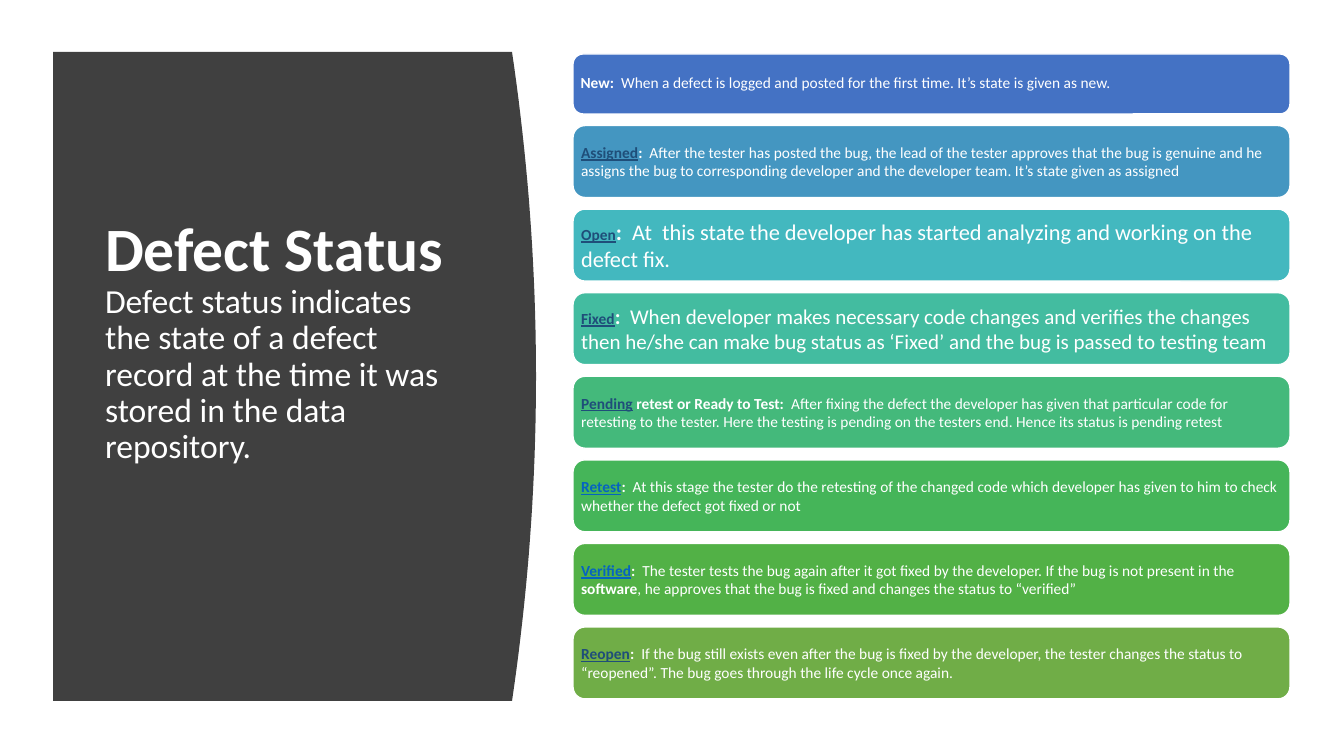
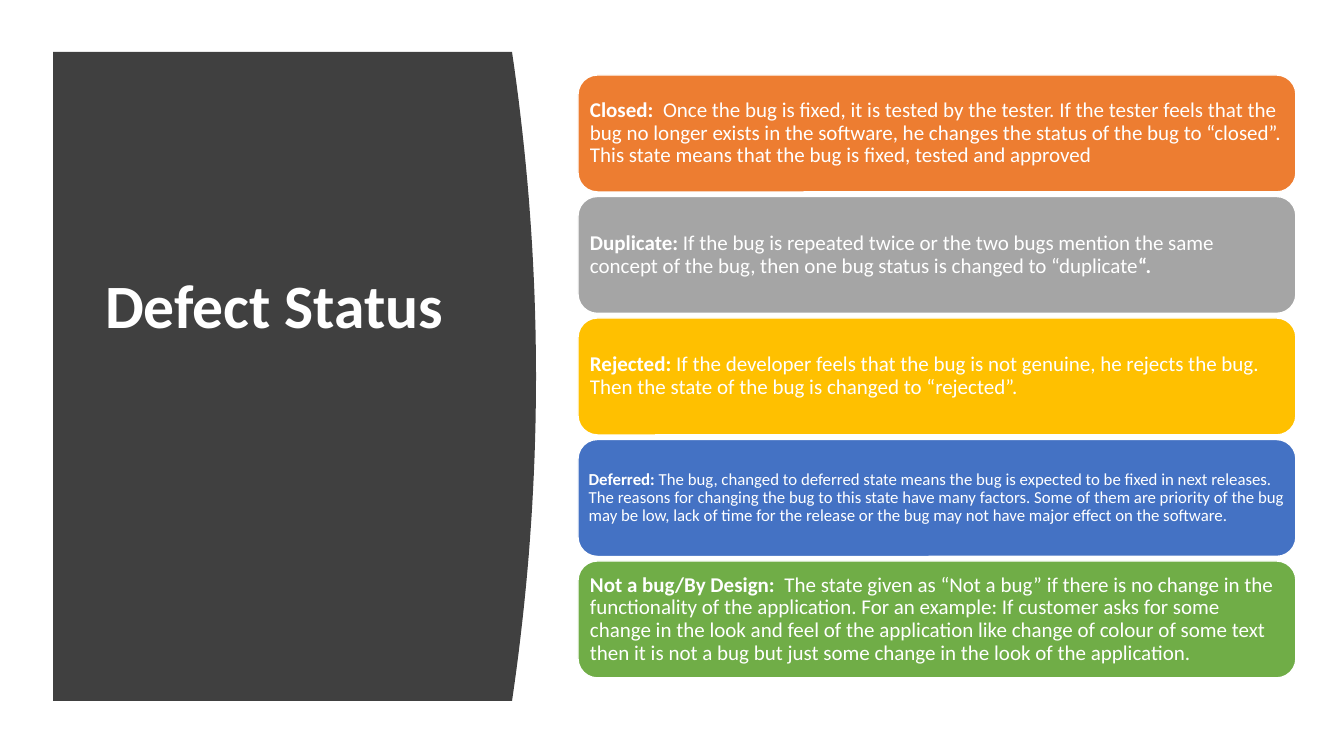
from collections import namedtuple

from pptx import Presentation
from pptx.dml.color import RGBColor
from pptx.enum.shapes import MSO_SHAPE
from pptx.enum.text import MSO_ANCHOR, MSO_AUTO_SIZE, PP_ALIGN
from pptx.util import Pt

SCALE = 914400 / 100.8
FACE = "Calibri"
WHITE, DARK, NAVY, LINK = "FFFFFF", "404040", "1F4E79", "0563C1"
LEAD = 0.9
PANEL = (53, 52, 483, 649)
TITLE = (95, 112, 377, 528)

Box = namedtuple("Box", "left top width height")
Row = namedtuple("Row", "fill tint label body small big")


def px(num):
    """Turn pixels into EMU."""
    return round(num * SCALE)


def hue(code):
    """Turn a hex string into a colour."""
    return RGBColor.from_string(code)


def style(item, **vals):
    """Set each named value on the item."""
    for name, val in vals.items():
        setattr(item, name, val)


def place(item, box):
    """Move and size an item to a pixel box."""
    style(item, **{name: px(val) for name, val in box._asdict().items()})


def write(para, text, size, tint=WHITE, **vals):
    """Add one formatted run to a paragraph."""
    run = para.add_run()
    run.text = text
    style(run.font, name=FACE, size=Pt(size), **vals)
    run.font.color.rgb = hue(tint)


def paint(shape, fill, line=None):
    """Give a shape a flat fill and an optional line."""
    shape.shadow.inherit = False
    shape.fill.solid()
    shape.fill.fore_color.rgb = hue(fill)
    if line:
        shape.line.color.rgb = hue(line)
        shape.line.width = Pt(1)
    else:
        shape.line.fill.background()


def panel(slide, box, bulge=24, steps=40):
    """Draw the dark panel with its bowed right edge behind the title."""
    side = box.left + box.width - bulge
    base = box.top + box.height
    curve = []
    for step in range(steps + 1):
        part = step / steps
        bow = bulge * 4 * part * (1 - part)
        curve.append((px(side + bow), px(box.top + box.height * part)))
    form = slide.shapes.build_freeform(px(box.left), px(box.top))
    form.add_line_segments(curve + [(px(box.left), px(base))], close=True)
    shape = form.convert_to_shape()
    paint(shape, DARK)
    slide.shapes.title.element.addprevious(shape.element)


def head(slide, box, note, lift):
    """Fill the title, lifted above the middle of its box."""
    title = slide.shapes.title
    place(title, box)
    frame = title.text_frame
    style(frame, word_wrap=True, auto_size=MSO_AUTO_SIZE.NONE,
          vertical_anchor=MSO_ANCHOR.MIDDLE, margin_bottom=px(lift))
    para = frame.paragraphs[0]
    style(para, alignment=PP_ALIGN.LEFT, line_spacing=LEAD)
    write(para, "Defect Status", 44, bold=True)
    if note:
        para.add_line_break()
        write(para, note, 24, bold=False)


def card(slide, box, row):
    """Draw one status card; stars in its body switch bold."""
    shape = slide.shapes.add_shape(MSO_SHAPE.ROUNDED_RECTANGLE,
                                   *map(px, box))
    paint(shape, row.fill, WHITE)
    frame = shape.text_frame
    pad = Pt(row.small * 0.3)
    style(frame, word_wrap=True, vertical_anchor=MSO_ANCHOR.MIDDLE,
          margin_left=pad, margin_right=pad, margin_top=pad,
          margin_bottom=pad)
    para = frame.paragraphs[0]
    linked = row.tint != WHITE
    style(para, alignment=PP_ALIGN.LEFT, line_spacing=1.0 if linked else LEAD)
    write(para, row.label, row.small, row.tint, bold=True, underline=linked)
    for spot, text in enumerate(row.body.split("*")):
        if text:
            write(para, text, row.big, bold=spot % 2 == 1)


def stack(slide, box, rows, highs):
    """Stack cards down the box with equal gaps."""
    gap = (box.height - sum(highs)) / (len(rows) - 1)
    top = box.top
    for row, high in zip(rows, highs):
        card(slide, Box(box.left, top, box.width, high), row)
        top += high + gap


def page(deck, note, lift, box, rows, highs):
    """Build one slide: panel, title and cards."""
    slide = deck.slides.add_slide(deck.slide_layouts[5])
    head(slide, Box(*TITLE), note, lift)
    panel(slide, Box(*PANEL))
    stack(slide, Box(*box), rows, highs)


NOTE = ("Defect status indicates the state of a defect record at the time "
        "it was stored in the data repository.")

FIRST = [
    Row("4472C4", WHITE, "New:",
        "\u00a0\u00a0When a defect is logged and posted for the first time. "
        "It’s state is given as new.", 11, 11),
    Row("4496C1", NAVY, "Assigned",
        "*:*\u00a0\u00a0After the tester has posted the bug, the lead of the "
        "tester approves that the bug is genuine and he assigns the bug to "
        "corresponding developer and the developer team. It’s state given "
        "as assigned", 11, 11),
    Row("43B8BF", NAVY, "Open",
        "*:\u00a0*\u00a0At\u00a0 this state the developer has started "
        "analyzing and working on the defect fix.", 11, 16),
    Row("43BCA0", NAVY, "Fixed",
        "*:\u00a0*\u00a0When developer makes necessary code changes and "
        "verifies the changes then he/she can make bug status as ‘Fixed’ "
        "and the bug is passed to testing team", 11, 15),
    Row("44B97B", NAVY, "Pending",
        "* retest or Ready to Test:*\u00a0\u00a0After fixing the defect the "
        "developer has given that particular code for retesting to the "
        "tester. Here the testing is pending on the testers end. Hence its "
        "status is pending retest", 11, 11),
    Row("45B559", LINK, "Retest",
        "*:*\u00a0\u00a0At this stage the tester do the retesting of the "
        "changed code which developer has given to him to check whether the "
        "defect got fixed or not", 11, 11),
    Row("52B146", LINK, "Verified",
        "*:\u00a0*\u00a0The tester tests the bug again after it got fixed by "
        "the developer. If the bug is not present in the *software*, he "
        "approves that the bug is fixed and changes the status to "
        "“verified”", 11, 11),
    Row("70AD47", NAVY, "Reopen",
        "*:\u00a0*\u00a0If the bug still exists even after the bug is fixed "
        "by the developer, the tester changes the status to “reopened”. The "
        "bug goes through the life cycle once again.", 11, 11),
]

NEXT = [
    Row("ED7D31", WHITE, "Closed:\u00a0",
        "\u00a0Once the bug is fixed, it is tested by the tester. If the "
        "tester feels that the bug no longer exists in the software, he "
        "changes the status of the bug to “closed”. This state means that "
        "the bug is fixed, tested and approved", 15, 15),
    Row("A5A5A5", WHITE, "Duplicate:",
        "\u00a0If the bug is repeated twice or the two bugs mention the same "
        "concept of the bug, then one bug status is changed to "
        "“duplicate*“.*", 15, 15),
    Row("FFC000", WHITE, "Rejected:",
        "\u00a0If the developer feels that the bug is not genuine, he "
        "rejects the bug. Then the state of the bug is changed to "
        "“rejected”.", 15, 15),
    Row("4472C4", WHITE, "Deferred:",
        "\u00a0The bug, changed to deferred state means the bug is expected "
        "to be fixed in next releases. The reasons for changing the bug to "
        "this state have many factors. Some of them are\u00a0priority\u00a0"
        "of the bug may be low, lack of time for the release or the bug may "
        "not have major effect on the software.", 12, 12),
    Row("70AD47", WHITE, "Not a bug/By Design:",
        "\u00a0 The state given as “Not a bug” if there is no change in the "
        "functionality of the application. For an example: If customer asks "
        "for some change in the look and feel of the application like change "
        "of colour of some text then it is not a bug but just some change in "
        "the look of the application.", 15, 15),
]

deck = Presentation()
style(deck, slide_width=px(1344), slide_height=px(756))
page(deck, NOTE, 73, (573, 54, 717, 645), FIRST, [60] + [72] * 7)
page(deck, None, 140, (578, 75, 718, 603), NEXT, [117] * 5)
deck.save("out.pptx")
